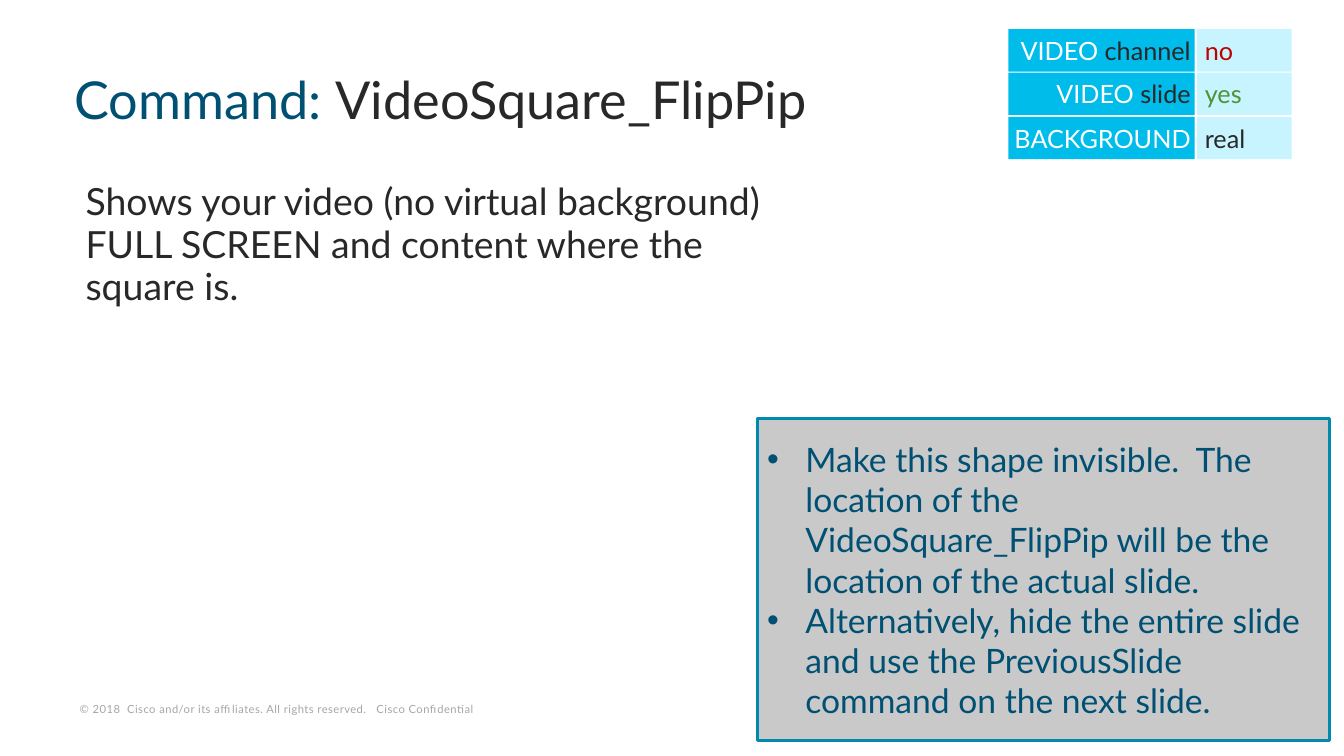
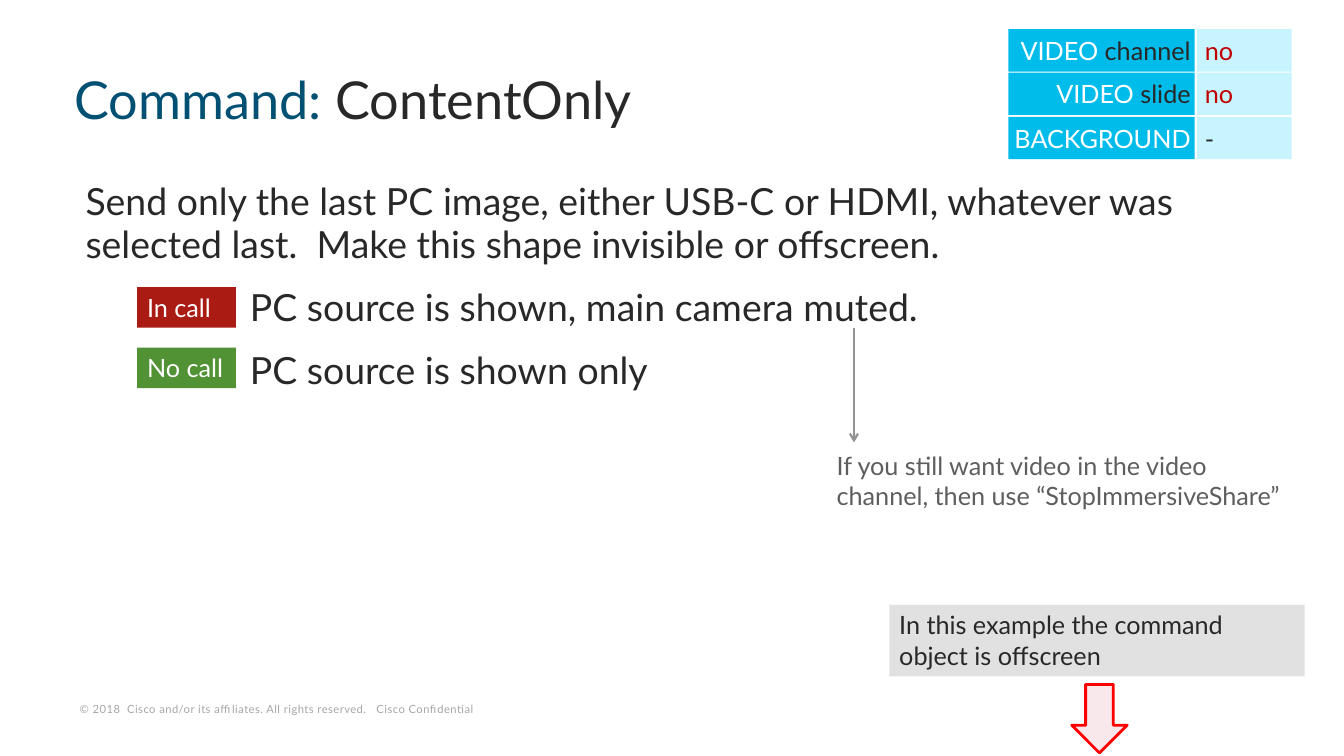
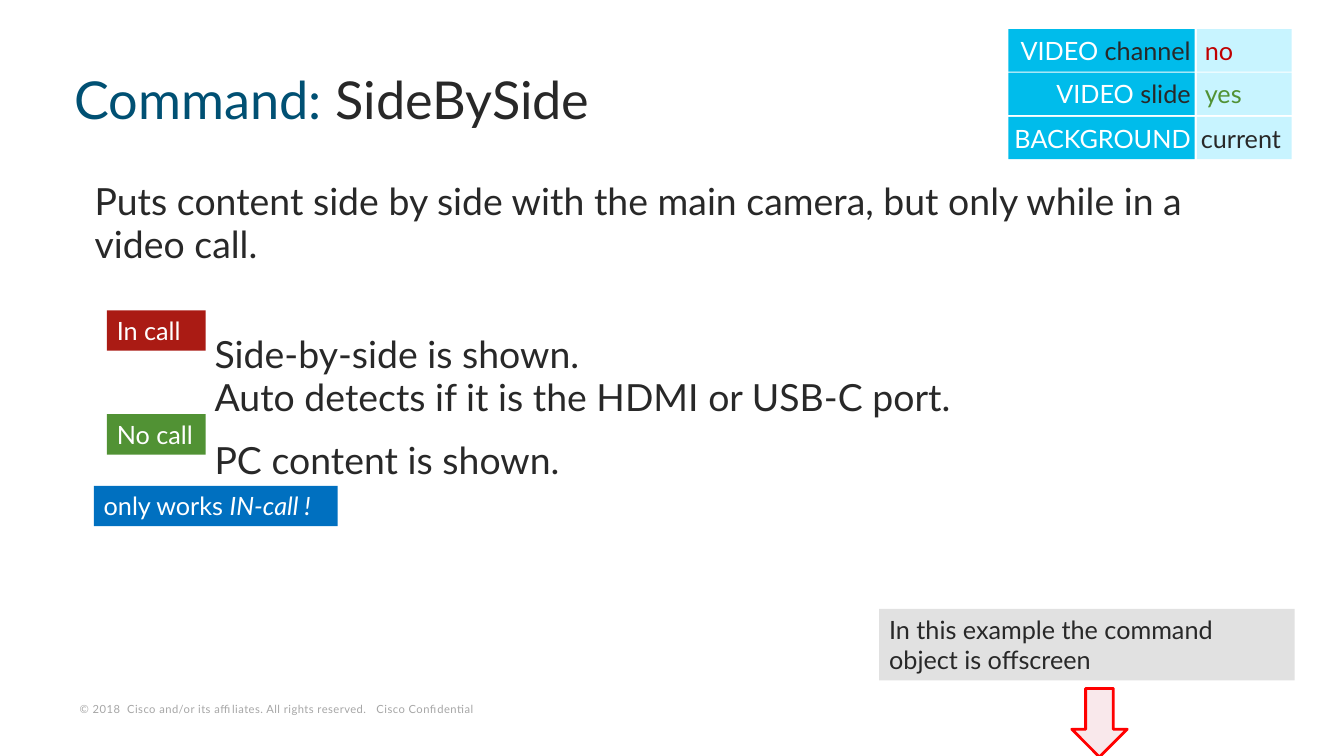
import pptx
import pptx.util
import pptx.dml.color
import pptx.enum.shapes
import pptx.enum.text
import pptx.oxml.ns
from lxml import etree

PX = 9144
FONT = "Lato"
COLORS = {
    "ink": "282828", "navy": "005073", "white": "FFFFFF", "footer": "A6A6A6",
    "cyan": "00BCEB", "pale": "C8F4FF", "red": "C00000", "green": "519234",
    "brick": "AA1B14", "blue": "0070C0", "grey": "E1E1E1", "panel": "C9C9C9",
    "teal": "008BAE", "alert": "FF0000", "blush": "F9E8EB",
    "arrow": "939393", "hint": "5E5E5E",
}
SHAPE = pptx.enum.shapes.MSO_SHAPE
ANCHOR = pptx.enum.text.MSO_ANCHOR
ALIGN = pptx.enum.text.PP_ALIGN
qn = pptx.oxml.ns.qn


def px(n):
    return pptx.util.Emu(n * PX)


def rgb(name):
    return pptx.dml.color.RGBColor.from_string(COLORS[name])


def frame(tf, anchor=ANCHOR.TOP, insets=(10, 5, 10, 5)):
    tf.word_wrap = True
    tf.auto_size = pptx.enum.text.MSO_AUTO_SIZE.NONE
    tf.vertical_anchor = anchor
    (tf.margin_left, tf.margin_top,
     tf.margin_right, tf.margin_bottom) = map(px, insets)


def add_run(p, text, size, color, italic=False):
    for i, line in enumerate(text.split("\n")):
        if i:
            p.add_line_break()
        r = p.add_run()
        r.text = line
        r.font.name = FONT
        r.font.size = pptx.util.Pt(size)
        r.font.color.rgb = rgb(color)
        if italic:
            r.font.italic = True
    return r


def write(tf, runs, size, align=ALIGN.LEFT):
    p = tf.paragraphs[0]
    p.alignment = align
    for run in runs:
        add_run(p, run[0], size, *run[1:])
    return p


def add_box(s, x, y, w, h, fill, line=None, kind=SHAPE.RECTANGLE):
    sp = s.shapes.add_shape(kind, px(x), px(y), px(w), px(h))
    sp.shadow.inherit = False
    sp.fill.solid()
    sp.fill.fore_color.rgb = rgb(fill)
    if line:
        sp.line.color.rgb = rgb(line)
        sp.line.width = pptx.util.Pt(2)
    else:
        sp.line.fill.background()
    return sp


def add_text(s, x, y, w, h):
    tb = s.shapes.add_textbox(px(x), px(y), px(w), px(h))
    frame(tb.text_frame)
    return tb


def add_label(s, x, y, w, h, fill, *runs):
    tf = add_box(s, x, y, w, h, fill).text_frame
    frame(tf)
    write(tf, runs, 18)


def add_title(s, command):
    title = s.shapes.title
    title.left, title.top, title.width, title.height = map(px, (64, 50, 1217, 107))
    frame(title.text_frame, ANCHOR.MIDDLE)
    p = write(title.text_frame, [("Command: ", "navy"), (command, "ink")], 37.3)
    p.line_spacing = 0.8


def add_body(s, width, paragraphs):
    tf = add_text(s, 67, 175, width, 494).text_frame
    for i, (indent, before, text) in enumerate(paragraphs):
        p = tf.add_paragraph() if i else tf.paragraphs[0]
        p._p.get_or_add_pPr().set("marL", str(px(indent)))
        p.line_spacing = 0.95
        p.space_before = pptx.util.Pt(before)
        add_run(p, text, 26.7, "ink")


def add_status(s, x, y, values, value_inset=8):
    labels = [
        [("VIDEO ", "white"), ("channel", "ink")],
        [("VIDEO ", "white"), ("slide", "ink")],
        [("BACKGROUND", "white")],
    ]
    tones = {"no": "red", "yes": "green"}
    for i, (label, value) in enumerate(zip(labels, values)):
        top = y + i * 87 // 2
        tf = add_box(s, x, top, 185, 42, "cyan").text_frame
        frame(tf, ANCHOR.MIDDLE, (0, 0, 4, 0))
        write(tf, label, 18, ALIGN.RIGHT)
        tf = add_box(s, x + 187, top, 94, 42, "pale").text_frame
        inset = value_inset if i == 2 else 8
        frame(tf, ANCHOR.MIDDLE, (inset, 0, 0, 0))
        write(tf, [(value, tones.get(value, "ink"))], 18)


def add_call_tags(s, x, in_call_y, no_call_y):
    add_label(s, x, in_call_y, 98, 40, "brick", ("In call", "white"))
    add_label(s, x, no_call_y, 98, 40, "green", ("No call", "white"))


def add_offscreen_note(s, x, y):
    add_box(s, 1063, y + 79, 55, 68, "blush", "alert", SHAPE.DOWN_ARROW)
    add_label(s, x, y, 412, 71, "grey",
              ("In this example the command object is offscreen", "ink"))


def add_bullet_panel(s, x, y, w, h, items):
    tf = add_box(s, x, y, w, h, "panel", "teal").text_frame
    frame(tf, ANCHOR.MIDDLE)
    for i, item in enumerate(items):
        p = tf.add_paragraph() if i else tf.paragraphs[0]
        p.alignment = ALIGN.LEFT
        pPr = p._p.get_or_add_pPr()
        pPr.set("marL", str(px(38)))
        pPr.set("indent", str(px(-38)))
        etree.SubElement(pPr, qn("a:buFont")).set("typeface", "Arial")
        etree.SubElement(pPr, qn("a:buChar")).set("char", "•")
        add_run(p, item, 24, "navy")


def add_hint(s, x, y, text):
    c = s.shapes.add_connector(pptx.enum.shapes.MSO_CONNECTOR.STRAIGHT,
                               px(x + 27), px(y), px(x + 27), px(y + 114))
    c.line.color.rgb = rgb("arrow")
    c.line.width = pptx.util.Pt(1.5)
    etree.SubElement(c.line._get_or_add_ln(), qn("a:tailEnd")).set("type", "arrow")
    etree.SubElement(c._element.spPr, qn("a:effectLst"))
    tf = add_text(s, x, y + 117, 487, 71).text_frame
    write(tf, [(text, "hint")], 18)


def add_layout_footer(s):
    tb = add_text(s, 70, 691, 496, 23)
    frame(tb.text_frame, ANCHOR.BOTTOM, (9, 4, 9, 4))
    r = add_run(tb.text_frame.paragraphs[0],
                "© 2018  Cisco and/or its affiliates. All rights reserved."
                "   Cisco Confidential", 8, "footer")
    r.font._element.set("spc", "30")
    s.slide_layout.shapes.element.append(tb.element)


def add_command_slide(prs, command, body_width, paragraphs, status, value_inset=8):
    s = prs.slides.add_slide(prs.slide_layouts[5])
    add_title(s, command)
    add_body(s, body_width, paragraphs)
    add_status(s, 1000, 29, status, value_inset)
    return s


def main():
    prs = pptx.Presentation()
    prs.slide_width, prs.slide_height = px(1333), px(750)

    s = add_command_slide(prs, "VideoSquare_FlipPip", 791, [
        (8, 0, "Shows your video (no virtual background) FULL SCREEN "
               "and content where the\nsquare is."),
    ], ("no", "yes", "real"))
    add_layout_footer(s)
    add_bullet_panel(s, 751, 415, 568, 320, [
        "Make this shape invisible.  The location of the VideoSquare_FlipPip "
        "will be the location of the actual slide.",
        "Alternatively, hide the entire slide and use the PreviousSlide "
        "command on the next slide.",
    ])

    s = add_command_slide(prs, "ContentOnly", 1207, [
        (8, 0, "Send only the last PC image, either USB-C or HDMI, whatever was "
               "selected last.  Make this shape invisible or offscreen."),
        (171, 14.8, "PC source is shown, main camera muted."),
        (171, 14.8, "PC source is shown only"),
    ], ("no", "no", "-"))
    add_call_tags(s, 136, 285, 345)
    add_hint(s, 820, 325, "If you still want video in the video\n"
                          "channel, then use “StopImmersiveShare”")
    add_offscreen_note(s, 882, 600)

    s = add_command_slide(prs, "SideBySide", 1207, [
        (17, 0, "Puts content side by side with the main camera, "
                "but only while in a video call."),
        (136, 48.8, "Side-by-side is shown.\n"
                    "Auto detects if it is the HDMI or USB-C port."),
        (136, 14.8, "PC content is shown."),
    ], ("no", "yes", "current"), value_inset=4)
    add_call_tags(s, 106, 308, 411)
    add_label(s, 93, 482, 242, 40, "blue",
              ("only works ", "white"), ("IN-call !", "white", True))
    add_offscreen_note(s, 872, 604)

    prs.save("out.pptx")


if __name__ == "__main__":
    main()
